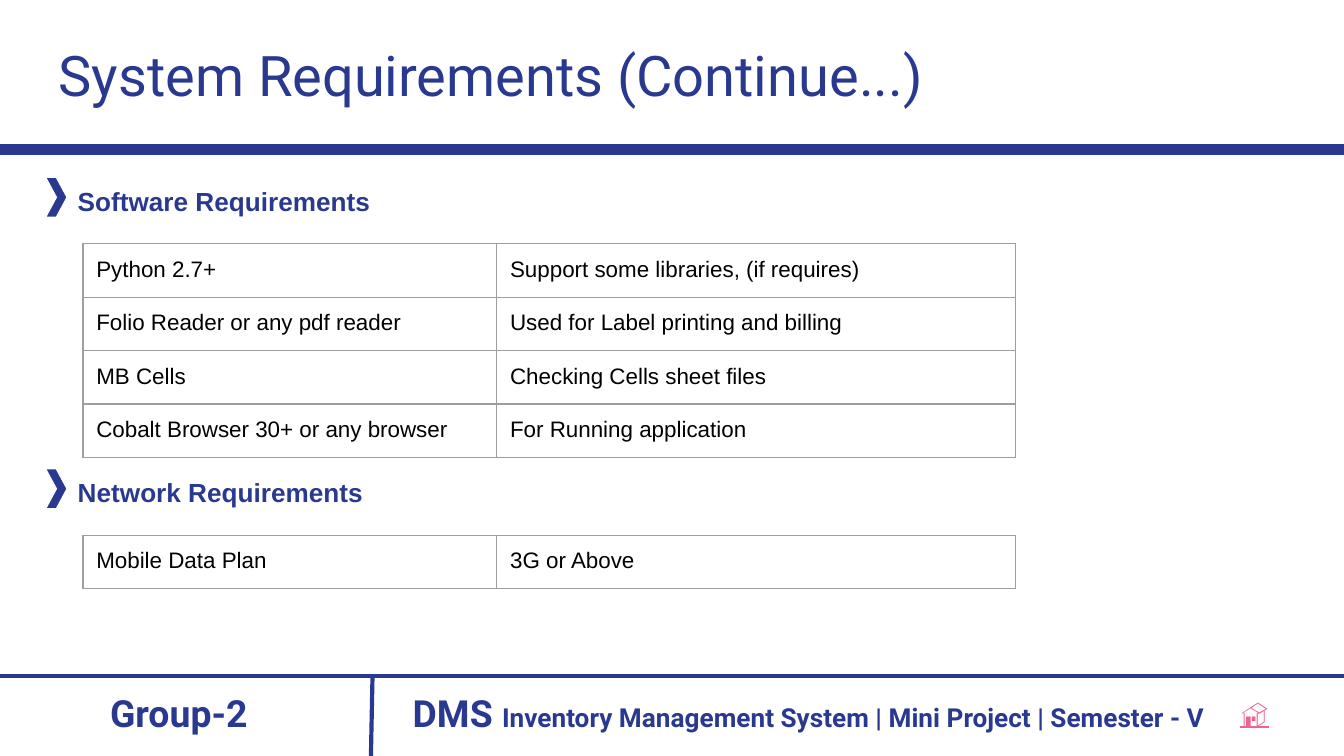
from dataclasses import dataclass

from lxml import etree
from pptx import Presentation
from pptx.dml.color import RGBColor
from pptx.enum.shapes import MSO_CONNECTOR, MSO_SHAPE
from pptx.enum.text import PP_ALIGN
from pptx.oxml.ns import qn
from pptx.util import Cm, Pt

STRAIGHT = MSO_CONNECTOR.STRAIGHT
CHEVRON = MSO_SHAPE.CHEVRON
LEFT, CENTER = PP_ALIGN.LEFT, PP_ALIGN.CENTER


@dataclass(frozen=True)
class Theme:
    navy: str = "2A3990"
    black: str = "000000"
    white: str = "FFFFFF"
    gray: str = "9E9E9E"
    pink: str = "F06292"
    display: str = "Roboto"
    body: str = "Arial"
    title: float = 30
    label: float = 20
    icon: float = 15
    heading: float = 14
    cell: float = 12
    thick: float = 6
    rule: float = 2.25
    hairline: float = 0.75
    inset: float = 0.25


@dataclass(frozen=True)
class Box:
    left: float
    top: float
    width: float
    height: float

    def lengths(self):
        return Cm(self.left), Cm(self.top), Cm(self.width), Cm(self.height)


THEME = Theme()
WIDTH, HEIGHT = 25.4, 14.29
ROW_HEIGHT = 0.98
COLUMN_WIDTHS = (7.82, 9.8)
TABLE_OFFSET = 1.36
SECTION_GAP = 0.23
SECTIONS = (
    ("Software Requirements", (
        ("Python 2.7+", "Support some libraries, (if requires)"),
        ("Folio Reader or any pdf reader", "Used for Label printing and billing"),
        ("MB Cells", "Checking Cells sheet files"),
        ("Cobalt Browser 30+ or any browser", "For Running application"),
    )),
    ("Network Requirements", (("Mobile Data Plan", "3G or Above"),)),
)


def color(value):
    return RGBColor.from_string(value)


def add_span(para, text, size, font, fill, bold=False, underline=False):
    span = para.add_run()
    span.text = text
    span.font.size = Pt(size)
    span.font.name = font
    span.font.bold = bold
    span.font.underline = underline
    span.font.color.rgb = color(fill)


def add_text(page, box, align=LEFT, indent=THEME.inset):
    frame = page.shapes.add_textbox(*box.lengths()).text_frame
    frame.word_wrap = True
    frame.margin_left = Cm(indent)
    frame.margin_right = frame.margin_top = frame.margin_bottom = Cm(THEME.inset)
    para = frame.paragraphs[0]
    para.alignment = align
    return para


def add_rule(page, start, end, weight):
    rule = page.shapes.add_connector(STRAIGHT, *map(Cm, start + end))
    rule.line.color.rgb = color(THEME.navy)
    rule.line.width = Pt(weight)
    etree.SubElement(rule._element.spPr, qn("a:effectLst"))


def add_borders(cell):
    properties = cell._tc.get_or_add_tcPr()
    for position, side in enumerate(("a:lnL", "a:lnR", "a:lnT", "a:lnB")):
        line = etree.Element(qn(side), w=str(Pt(THEME.hairline)))
        fill = etree.SubElement(line, qn("a:solidFill"))
        etree.SubElement(fill, qn("a:srgbClr"), val=THEME.gray)
        properties.insert(position, line)


def add_grid(page, box, rows):
    frame = page.shapes.add_table(len(rows), len(COLUMN_WIDTHS), *box.lengths())
    table = frame.table
    table.first_row = table.horz_banding = False
    for column, width in zip(table.columns, COLUMN_WIDTHS):
        column.width = Cm(width)
    for row_number, row in enumerate(rows):
        table.rows[row_number].height = Cm(ROW_HEIGHT)
        for column_number, text in enumerate(row):
            cell = table.cell(row_number, column_number)
            cell.margin_left = cell.margin_right = Cm(THEME.inset)
            cell.margin_top = cell.margin_bottom = Cm(THEME.inset)
            cell.fill.background()
            add_borders(cell)
            add_span(cell.text_frame.paragraphs[0], text, THEME.cell, THEME.body, THEME.black)


def add_header(page, box):
    para = add_text(page, Box(box.left + 0.86, box.top + 0.51, box.width - 1.73, 1.68))
    add_span(para, "System Requirements (Continue...)", THEME.title, THEME.display, THEME.navy)
    bottom = box.top + box.height
    add_rule(page, (box.left, bottom), (box.left + box.width, bottom), THEME.thick)


def add_section(page, box, heading, rows):
    marker = page.shapes.add_shape(CHEVRON, *Box(box.left, box.top + 0.1, 0.41, 0.76).lengths())
    marker.shadow.inherit = False
    marker.fill.solid()
    marker.fill.fore_color.rgb = color(THEME.navy)
    marker.line.color.rgb = color(THEME.white)
    marker.line.width = Pt(THEME.hairline)
    para = add_text(page, Box(box.left + 0.36, box.top, box.width - 0.36, 1.14))
    add_span(para, heading, THEME.heading, THEME.body, THEME.navy, bold=True)
    grid = Box(box.left + 0.71, box.top + TABLE_OFFSET,
               sum(COLUMN_WIDTHS), box.height - TABLE_OFFSET)
    add_grid(page, grid, rows)


def add_footer(page, box):
    bottom = box.top + box.height
    add_rule(page, (box.left, box.top), (box.left + box.width, box.top), THEME.rule)
    add_rule(page, (box.left + 7.04, box.top), (box.left + 7.01, bottom), THEME.rule)
    group = add_text(page, Box(box.left + 0.13, box.top + 0.02, 6.5, 1.49), CENTER)
    add_span(group, "Group-2", THEME.label, THEME.display, THEME.navy, bold=True)
    course = add_text(page, Box(box.left + 7.19, box.top + 0.02, 17.91, 1.49), indent=0.61)
    add_span(course, "DMS ", THEME.label, THEME.display, THEME.navy, bold=True)
    add_span(course, "Inventory Management System | Mini Project | Semester - V",
             THEME.heading, THEME.display, THEME.navy, bold=True)
    home = add_text(page, Box(box.left + 23.19, box.top + 0.12, 1.35, 1.14))
    add_span(home, "🏠", THEME.icon, THEME.body, THEME.pink, underline=True)


def main():
    deck = Presentation()
    deck.slide_width, deck.slide_height = Cm(WIDTH), Cm(HEIGHT)
    page = deck.slides.add_slide(deck.slide_layouts[6])
    add_header(page, Box(0, 0, WIDTH, 2.82))
    top = 3.25
    for heading, rows in SECTIONS:
        height = TABLE_OFFSET + ROW_HEIGHT * len(rows)
        add_section(page, Box(0.86, top, 24.5, height), heading, rows)
        top += height + SECTION_GAP
    add_footer(page, Box(0, 12.78, WIDTH, HEIGHT - 12.78))
    deck.save("out.pptx")


if __name__ == "__main__":
    main()
